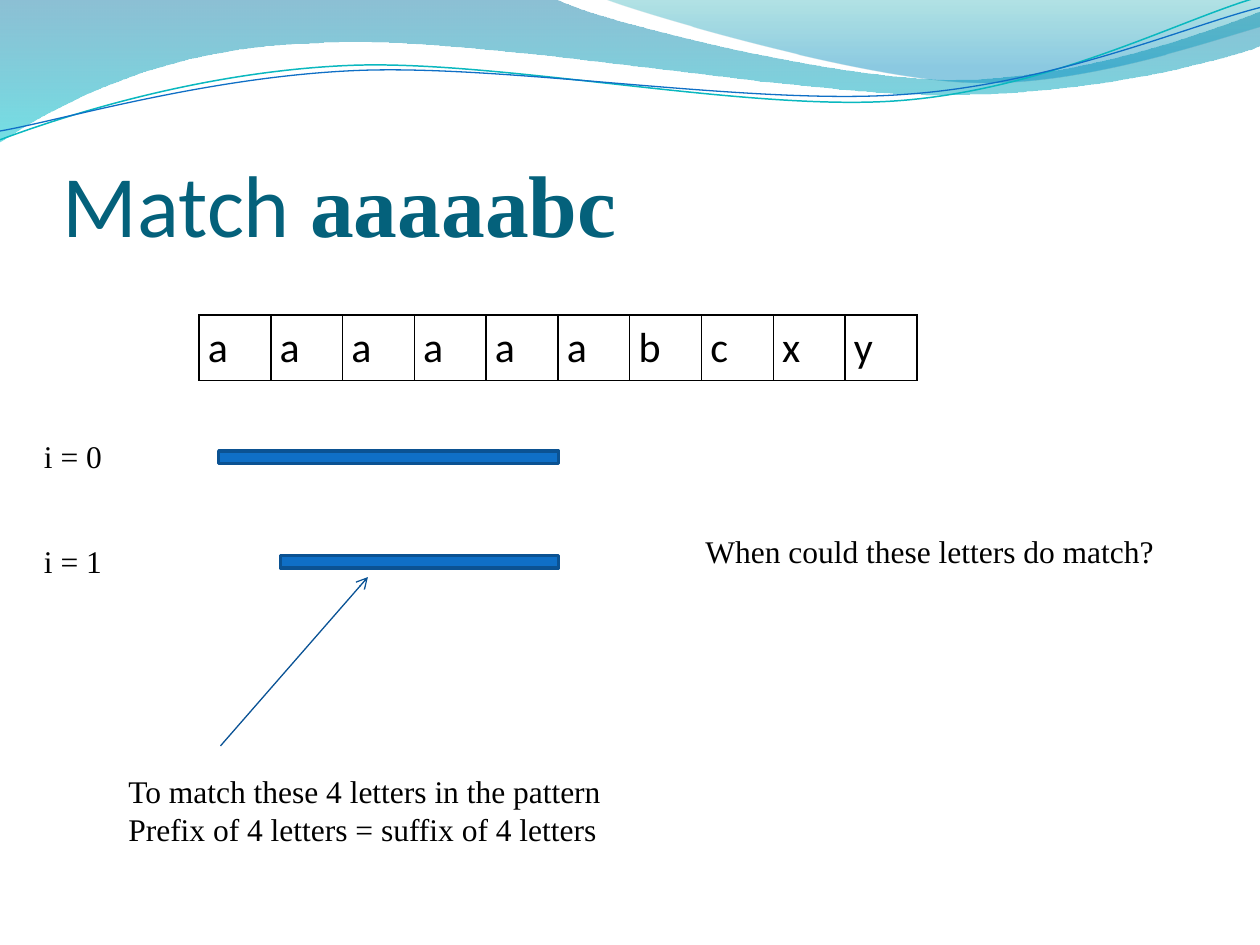
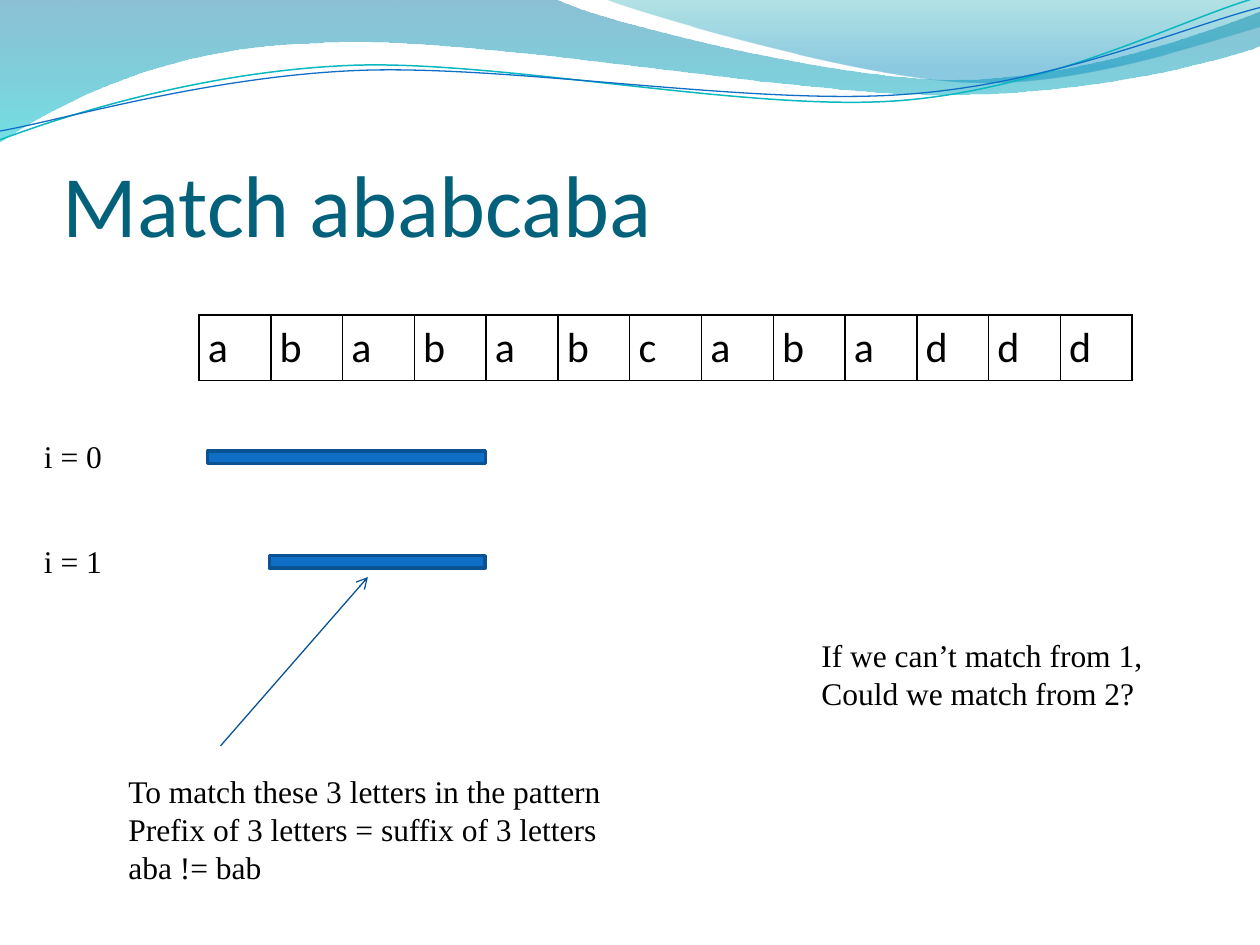
"""Build two slides on matching a pattern against a row of letters."""
from dataclasses import dataclass

from lxml.etree import Element, SubElement
from pptx import Presentation
from pptx.dml.color import RGBColor
from pptx.enum.shapes import MSO_CONNECTOR, MSO_SHAPE
from pptx.enum.text import MSO_ANCHOR, MSO_AUTO_SIZE
from pptx.oxml.ns import qn
from pptx.util import Inches, Pt


@dataclass(frozen=True)
class Theme:
    title: str = "04617B"
    ink: str = "000000"
    bar: str = "0F6FC6"
    bar_edge: str = "0B5292"
    arrow: str = "095295"
    teal: str = "0AB8BF"
    band: tuple = ((0, "0074A1", 45), (1, "00C6CF", 55))
    corner: tuple = ((0, "00A1A9", 30), (0.8, "008BBF", 45))
    sans: str = "Calibri"
    serif: str = "Times New Roman"
    title_size: int = 50
    cell_size: int = 24
    body_size: int = 18


BAND = [(0, 0), (4.4, -0.01), (4.76, 0.17, 6.64, 0.63, 7.58, 0.63),
        (8.53, 0.63, 9.58, 0.26, 10, 0.09), (10.01, 0.36),
        (9.83, 0.44, 8.7, 0.76, 7.46, 0.75), (6.22, 0.75, 3.82, 0.28, 2.57, 0.34),
        (1.29, 0.36, 0.46, 0.83, -0.01, 1.13), (0, 0)]
CORNER = [(4.79, -0.01), (5.09, 0.11, 6.82, 0.62, 7.69, 0.65),
          (8.56, 0.69, 9.61, 0.32, 10, 0.21), (10, 0), (4.79, -0.01)]
TEAL_WAVE = [(0, 1.11), (0.48, 0.93, 1.58, 0.57, 2.77, 0.52),
             (3.95, 0.47, 5.93, 0.89, 7.13, 0.8), (8.33, 0.71, 9.38, 0.15, 9.98, -0.02)]
BLUE_WAVE = [(0, 1.04), (0.47, 0.96, 1.64, 0.61, 2.83, 0.56),
             (4.03, 0.51, 5.97, 0.84, 7.17, 0.75), (8.36, 0.67, 9.41, 0.21, 10, 0.06)]


def rgb(color):
    return RGBColor.from_string(color)


class Deck:
    def __init__(self, theme):
        self.theme = theme
        self.prs = Presentation()
        self.prs.slide_width, self.prs.slide_height = Inches(10), Inches(7.5)
        self.layout = self.prs.slide_layouts[6]
        self.s = None

    def slide(self, *title_runs):
        self.s = self.prs.slides.add_slide(self.layout)
        if len(self.prs.slides) == 1:
            self.backdrop()
        self.title(title_runs)

    def backdrop(self):
        t = self.theme
        self.band(BAND, t.band)
        self.band(CORNER, t.corner)
        self.wave(TEAL_WAVE, t.teal, 0.85)
        self.wave(BLUE_WAVE, t.bar, 0.75)
        for number, sp in enumerate(list(self.s.shapes), 101):
            sp._element.nvSpPr.cNvPr.id = number
            self.layout.shapes._spTree.append(sp._element)

    def outline(self, segments, close):
        ends = [(Inches(seg[-2]), Inches(seg[-1])) for seg in segments]
        builder = self.s.shapes.build_freeform(*ends[0], scale=1.0)
        builder.add_line_segments(ends[1:], close=close)
        sp = builder.convert_to_shape()
        sp.shadow.inherit = False
        nodes = list(sp._element.spPr.iter(qn("a:lnTo")))
        for node, segment in zip(nodes, segments[1:]):
            if len(segment) == 6:
                self.bend(node, segment, sp.left, sp.top)
        return sp

    def bend(self, node, segment, left, top):
        curve = Element(qn("a:cubicBezTo"))
        for x, y in zip(segment[::2], segment[1::2]):
            SubElement(curve, qn("a:pt"), x=str(Inches(x) - left), y=str(Inches(y) - top))
        node.getparent().replace(node, curve)

    def band(self, segments, stops):
        sp = self.outline(segments, True)
        sp.line.fill.background()
        sp.fill.gradient()
        sp.fill.gradient_angle = 270
        for stop, (position, color, _) in zip(sp.fill.gradient_stops, stops):
            stop.position = position
            stop.color.rgb = rgb(color)
        colors = list(sp._element.spPr.iter(qn("a:srgbClr")))
        for node, (_, _, opacity) in zip(colors, stops):
            SubElement(node, qn("a:alpha"), val=str(opacity * 1000))

    def wave(self, segments, color, width):
        sp = self.outline(segments, False)
        sp.fill.background()
        sp.line.color.rgb = rgb(color)
        sp.line.width = Pt(width)

    def run(self, p, text, font, size, color, bold=False):
        r = p.add_run()
        r.text = text
        r.font.name, r.font.size, r.font.bold = font, Pt(size), bold
        r.font.color.rgb = rgb(color)

    def title(self, runs):
        t = self.theme
        sp = self.s.shapes.add_textbox(Inches(0.5), Inches(0.77), Inches(9), Inches(1.25))
        tf = sp.text_frame
        tf.word_wrap = True
        tf.vertical_anchor = MSO_ANCHOR.BOTTOM
        tf.margin_left = tf.margin_right = tf.margin_bottom = 0
        for text, font, bold in runs:
            self.run(tf.paragraphs[0], text, font, t.title_size, t.title, bold)

    def text(self, x, y, w, h, *lines, wrap=False):
        t = self.theme
        sp = self.s.shapes.add_textbox(Inches(x), Inches(y), Inches(w), Inches(h))
        tf = sp.text_frame
        tf.word_wrap = wrap
        tf.auto_size = MSO_AUTO_SIZE.SHAPE_TO_FIT_TEXT
        for i, line in enumerate(lines):
            p = tf.add_paragraph() if i else tf.paragraphs[0]
            self.run(p, line, t.serif, t.body_size, t.ink)

    def letters(self, word):
        t = self.theme
        column, height = Inches(0.57), Inches(0.52)
        frame = self.s.shapes.add_table(1, len(word), Inches(1.58), Inches(2.5),
                                        column * len(word), height)
        table = frame.table
        table.first_row = table.horz_banding = False
        table.rows[0].height = height
        for i, letter in enumerate(word):
            table.columns[i].width = column
            cell = table.cell(0, i)
            cell.margin_left = cell.margin_right = Inches(0.07)
            cell.margin_top = cell.margin_bottom = 0
            p = cell.text_frame.paragraphs[0]
            p.line_spacing = 1.15
            self.run(p, letter, t.sans, t.cell_size, t.ink)
            self.borders(cell)
            cell.fill.background()

    def borders(self, cell):
        tc_pr = cell._tc.get_or_add_tcPr()
        for side in ("lnL", "lnR", "lnT", "lnB"):
            line = SubElement(tc_pr, qn(f"a:{side}"), w=str(Pt(1)))
            fill = SubElement(line, qn("a:solidFill"))
            SubElement(fill, qn("a:srgbClr"), val=self.theme.ink)

    def attempt(self, i, x, width):
        t = self.theme
        y = (3.42, 4.25)[i]
        sp = self.s.shapes.add_shape(MSO_SHAPE.MATH_MINUS, Inches(x), Inches(y),
                                     Inches(width), Inches(0.42))
        sp.shadow.inherit = False
        sp.fill.solid()
        sp.fill.fore_color.rgb = rgb(t.bar)
        sp.line.color.rgb = rgb(t.bar_edge)
        sp.line.width = Pt(2)
        self.text(0.25, y, 0.69, 0.4, f"i = {i}")

    def arrow(self, x1, y1, x2, y2):
        line = self.s.shapes.add_connector(MSO_CONNECTOR.STRAIGHT, Inches(x1), Inches(y1),
                                           Inches(x2), Inches(y2))
        line.line.color.rgb = rgb(self.theme.arrow)
        line.line.width = Pt(0.75)
        SubElement(line.line._get_or_add_ln(), qn("a:tailEnd"), type="arrow")
        SubElement(line._element.spPr, qn("a:effectLst"))

    def comparison(self, word, widths, count, *extra, width, height):
        self.letters(word)
        for i, (x, length) in enumerate(zip((1.25, 1.83), widths)):
            self.attempt(i, x, length)
        self.arrow(1.75, 5.92, 2.92, 4.58)
        self.text(0.92, 6.08, width, height,
                  f"To match these {count} letters in the pattern",
                  f"Prefix of {count} letters = suffix of {count} letters", *extra)


def main():
    theme = Theme()
    deck = Deck(theme)

    deck.slide(("Match ", theme.sans, False), ("aaaaabc", theme.serif, True))
    deck.comparison("aaaaaabcxy", (3.67, 3), 4, width=3.99, height=0.71)
    deck.text(5.5, 4.17, 4.08, 0.4, "When could these letters do match?", wrap=True)

    deck.slide(("Match ababcaba", theme.sans, False))
    deck.comparison("abababcabaddd", (3, 2.33), 3, "aba != bab", width=4.02, height=1.01)
    deck.text(6.42, 5, 2.88, 0.71, "If we can’t match from 1,", "Could we match from 2?")

    deck.prs.save("out.pptx")


if __name__ == "__main__":
    main()
